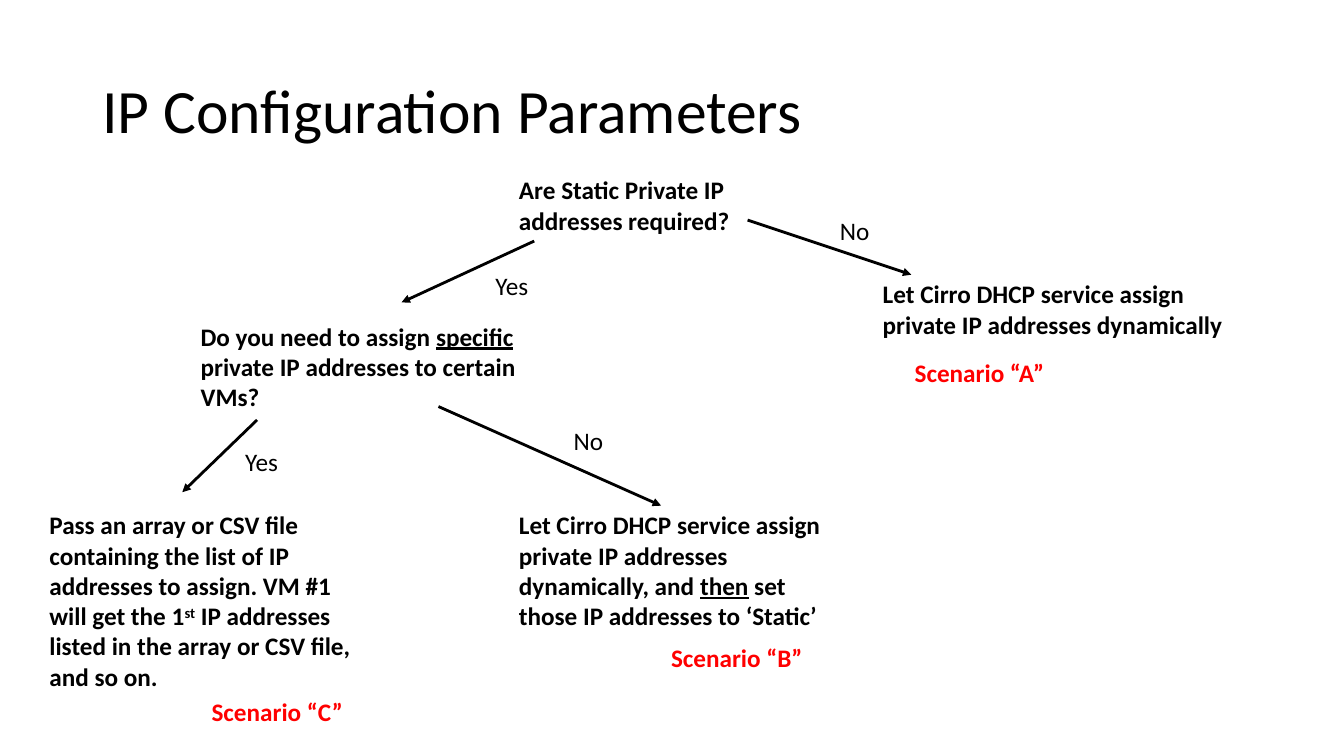
import dataclasses

import lxml.etree
import pptx
import pptx.dml.color
import pptx.enum.shapes
import pptx.enum.text
import pptx.oxml.ns
import pptx.util


@dataclasses.dataclass(frozen=True)
class Theme:
    font: str = "Calibri"
    ink: str = "000000"
    accent: str = "FF0000"
    title_size: int = 44
    body_size: int = 18
    line_width: int = 2


@dataclasses.dataclass(frozen=True)
class Box:
    column: float
    row: float
    columns: float
    rows: float

    def inside(self, column, row, columns, rows):
        return Box(self.column + column, self.row + row, columns, rows)

    def point(self, column, row):
        return across(self.column + column), down(self.row + row)


@dataclasses.dataclass(frozen=True)
class Branch:
    answer: str
    start: tuple
    end: tuple
    label: tuple


THEME = Theme()
WIDTH, HEIGHT = pptx.util.Inches(13.33), pptx.util.Inches(7.5)
COLUMNS, ROWS = 160, 90
LABEL_SIZE = (9, 4.8)
TAG_SIZE = (20.2, 4.8)


def across(columns):
    return round(WIDTH * columns / COLUMNS)


def down(rows):
    return round(HEIGHT * rows / ROWS)


def add_text(page, box, runs, size=THEME.body_size, color=THEME.ink, bold=False):
    shape = page.shapes.add_textbox(
        across(box.column), down(box.row), across(box.columns), down(box.rows)
    )
    frame = shape.text_frame
    frame.word_wrap = True
    para = frame.paragraphs[0]
    for text, style in runs:
        span = para.add_run()
        span.text = text
        span.font.name = THEME.font
        span.font.size = pptx.util.Pt(size)
        span.font.bold = bold
        span.font.color.rgb = pptx.dml.color.RGBColor.from_string(color)
        if style == "underline":
            span.font.underline = True
        elif style == "superscript":
            span.font._element.set("baseline", "30000")
    return frame


def add_arrow(page, start, end):
    arrow = page.shapes.add_connector(
        pptx.enum.shapes.MSO_CONNECTOR.STRAIGHT, *start, *end
    )
    arrow.line.width = pptx.util.Pt(THEME.line_width)
    arrow.line.color.rgb = pptx.dml.color.RGBColor.from_string(THEME.ink)
    name = pptx.oxml.ns.qn
    lxml.etree.SubElement(arrow.line._get_or_add_ln(), name("a:tailEnd"), type="triangle")
    lxml.etree.SubElement(arrow._element.spPr, name("a:effectLst"))


def draw_title(page, box, text):
    frame = add_text(page, box, [(text, "")], THEME.title_size)
    frame.vertical_anchor = pptx.enum.text.MSO_ANCHOR.MIDDLE
    frame.paragraphs[0].line_spacing = 0.9


def draw_question(page, box, runs, branches):
    add_text(page, box, runs, bold=True)
    for branch in branches:
        add_arrow(page, box.point(*branch.start), box.point(*branch.end))
        add_text(page, box.inside(*branch.label, *LABEL_SIZE), [(branch.answer, "")])


def draw_outcome(page, box, runs, scenario, tag):
    add_text(page, box, runs, bold=True)
    add_text(
        page,
        box.inside(*tag, *TAG_SIZE),
        [(f"Scenario “{scenario}”", "")],
        color=THEME.accent,
        bold=True,
    )


def draw_decision_tree(page, box):
    draw_question(
        page,
        box.inside(60.6, 20.2, 28.3, 8.5),
        [("Are Static Private IP addresses required?", "")],
        [
            Branch("Yes", (3, 8.5), (-12.8, 15.8), (-2.8, 11.4)),
            Branch("No", (28.4, 6), (47.9, 12.5), (38.2, 4.8)),
        ],
    )
    draw_question(
        page,
        box.inside(22.7, 37.6, 43, 12.1),
        [
            ("Do you need to assign ", ""),
            ("specific", "underline"),
            (" private IP addresses to certain VMs?", ""),
        ],
        [
            Branch("Yes", (7.9, 12.4), (-1, 21), (5.3, 14.9)),
            Branch("No", (29.5, 10.8), (56, 22.6), (44.4, 12.5)),
        ],
    )
    draw_outcome(
        page,
        box.inside(103.9, 32.6, 43, 8.5),
        [("Let Cirro DHCP service assign private IP addresses dynamically", "")],
        "A",
        (3.8, 9.4),
    )
    draw_outcome(
        page,
        box.inside(60.6, 60.1, 40.6, 15.7),
        [
            ("Let Cirro DHCP service assign private IP addresses dynamically, and ", ""),
            ("then", "underline"),
            (" set those IP addresses to ‘Static’", ""),
        ],
        "B",
        (18.1, 15.8),
    )
    draw_outcome(
        page,
        box.inside(4.7, 60.1, 40.6, 23),
        [
            ("Pass an array or CSV file containing the list of IP addresses to assign. "
             "VM #1 will get the 1", ""),
            ("st", "superscript"),
            (" IP addresses listed in the array or CSV file, and so on.", ""),
        ],
        "C",
        (19.3, 22.2),
    )


def main():
    deck = pptx.Presentation()
    deck.slide_width, deck.slide_height = WIDTH, HEIGHT
    page = deck.slides.add_slide(deck.slide_layouts[6])
    canvas = Box(0, 0, COLUMNS, ROWS)
    draw_title(page, canvas.inside(11, 4.8, 138, 17.4), "IP Configuration Parameters")
    draw_decision_tree(page, canvas)
    deck.save("out.pptx")


if __name__ == "__main__":
    main()
